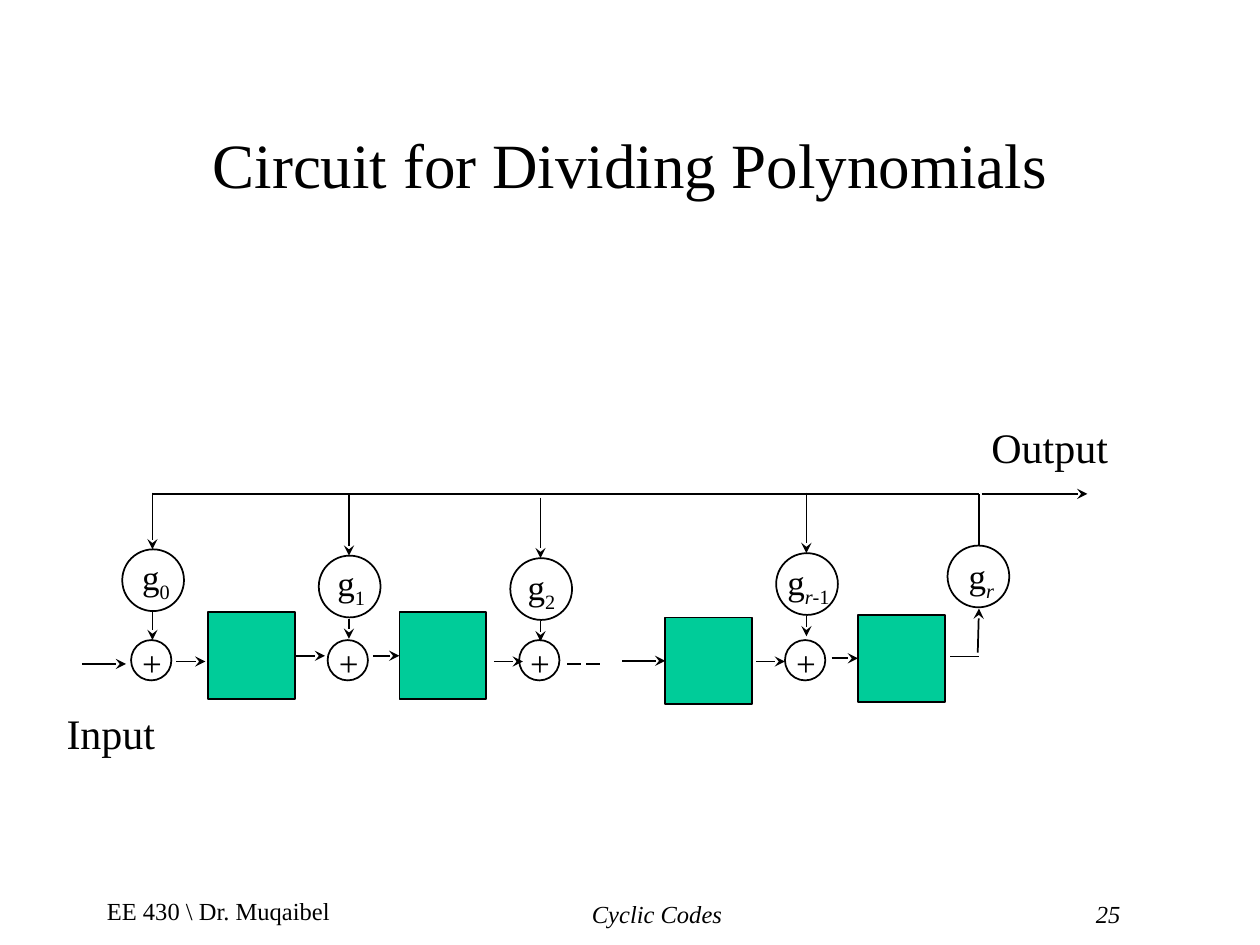
from lxml.etree import SubElement
from pptx import Presentation
from pptx.dml.color import RGBColor
from pptx.enum.dml import MSO_LINE
from pptx.enum.shapes import MSO_CONNECTOR, MSO_SHAPE
from pptx.enum.text import MSO_ANCHOR, PP_ALIGN
from pptx.oxml.ns import qn
from pptx.util import Inches, Pt

COLORS = {"ink": "000000", "register": "00CC99", "paper": "FFFFFF"}
FONT = "Times New Roman"
COLS, ROWS = 100, 75        # grid of 0.1 inch cells
LEFT, RIGHT = 1, 3          # connection sites of a rectangle


def cells(n):
    return Inches(n / 10)


def rgb(name):
    return RGBColor.from_string(COLORS[name])


def add_text(s, box, runs, size, align=PP_ALIGN.LEFT, anchor=MSO_ANCHOR.TOP,
             wrap=True, tabs=()):
    """Each run is (text, italic, subscript)."""
    tf = s.shapes.add_textbox(*map(cells, box)).text_frame
    tf.word_wrap = wrap
    tf.vertical_anchor = anchor
    p = tf.paragraphs[0]
    p.alignment = align
    if tabs:
        tab_list = SubElement(p._p.get_or_add_pPr(), qn("a:tabLst"))
        for pos in tabs:
            SubElement(tab_list, qn("a:tab"), pos=str(cells(pos)), algn="l")
    for text, italic, subscript in runs:
        r = p.add_run()
        r.text = text
        r.font.name, r.font.size, r.font.italic = FONT, Pt(size), italic
        r.font.color.rgb = rgb("ink")
        if subscript:
            r._r.get_or_add_rPr().set("baseline", "-25000")


def add_shape(s, kind, box, fill=None):
    sp = s.shapes.add_shape(kind, *map(cells, box))
    sp.shadow.inherit = False
    if fill:
        sp.fill.solid()
        sp.fill.fore_color.rgb = rgb(fill)
    else:
        sp.fill.background()
    sp.line.color.rgb = rgb("ink")
    sp.line.width = Pt(1)
    return sp


def add_wire(s, x1, y1, x2, y2, arrow=True, dash=None):
    wire = s.shapes.add_connector(MSO_CONNECTOR.STRAIGHT,
                                  *map(cells, (x1, y1, x2, y2)))
    wire.line.color.rgb = rgb("ink")
    wire.line.width = Pt(1)
    if dash:
        wire.line.dash_style = dash
    if arrow:
        SubElement(wire.line._get_or_add_ln(), qn("a:tailEnd"), type="stealth")
    SubElement(wire._element.spPr, qn("a:effectLst"))
    return wire


def add_gain(s, x, y, label_x, label_y, subscript):
    """A coefficient circle centred on x with its label."""
    add_shape(s, MSO_SHAPE.OVAL, (x - 2.4, y, 4.9, 4.9))
    add_text(s, (label_x, label_y, 5.6, 4.8), [("g", False, False)] + subscript,
             20, wrap=False)


def add_stage(s, x, y, bus_y, drop_end, label_x, label_y, subscript):
    """Tap from the bus, coefficient and adder in one column."""
    add_wire(s, x, max(y - 4.8, bus_y - 0.1), x, y)
    add_gain(s, x, y, label_x, label_y, subscript)
    add_wire(s, x, y + 5, x, drop_end)
    adder_y = bus_y + 11.6
    add_shape(s, MSO_SHAPE.OVAL, (x - 1.7, adder_y, 3.2, 3.2))
    add_text(s, (x - 1.8, adder_y - 0.4, 3.9, 4.3), [("+", False, False)], 20)


def add_circuit(s, box):
    x, y, w, h = box
    bus_y = y + 6.2
    bus_left, bus_right = x + 8.1, x + 73.7

    # Feedback bus and output
    add_wire(s, bus_left, bus_y, bus_right, bus_y, arrow=False)
    add_wire(s, bus_right + 0.2, bus_y, x + 82.3, bus_y)
    add_text(s, (bus_right, y, 11.3, 5), [("Output", False, False)], 24,
             wrap=False)

    # Registers, each with the start of a wire that ends on its left side
    registers = []
    for reg_x, reg_y, wire_x in [(12.5, 15.6, None), (27.7, 15.6, 25.6),
                                 (48.8, 16, 45.4), (64.1, 15.8, 62)]:
        register = add_shape(s, MSO_SHAPE.RECTANGLE,
                             (x + reg_x, y + reg_y, 6.9, 6.9), "register")
        registers.append(register)
        if wire_x:
            mid = y + reg_y + 3.45
            wire = add_wire(s, x + wire_x, mid, x + reg_x, mid)
            wire.end_connect(register, LEFT)

    # Wires into the adders and the first register
    wire_y = y + 19.5
    add_wire(s, x + 2.5, wire_y + 0.2, x + 6, wire_y + 0.2)
    for start in (10, 35.2, 56):
        add_wire(s, x + start, wire_y, x + start + 2.3, wire_y)
    mid = y + 19.05
    add_wire(s, x + 19.4, mid, x + 21.8, mid).begin_connect(registers[0], RIGHT)
    add_wire(s, x + 41, wire_y + 0.2, x + 43.8, wire_y + 0.2, arrow=False,
             dash=MSO_LINE.LONG_DASH)

    # Columns: centre, top of coefficient, end of drop, label, subscript
    for cx, top, drop, label_x, label_y, subscript in [
        (8.1, 10.6, 17.8, 6.3, 10.6, [("0", False, True)]),
        (23.7, 11.1, 17.7, 21.8, 11.1, [("1", False, True)]),
        (38.9, 11.3, 17.9, 36.9, 11.4, [("2", False, True)]),
        (60, 10.9, 17.5, 57.5, 11, [("r", True, True), ("-1", False, True)]),
    ]:
        add_stage(s, x + cx, y + top, bus_y, y + drop, x + label_x, y + label_y,
                  subscript)

    # Last coefficient, fed by the last register
    add_wire(s, x + 71.4, y + 19.1, bus_right, y + 19.1, arrow=False)
    add_wire(s, bus_right - 0.1, y + 18.8, bus_right, y + 15.3)
    add_gain(s, bus_right - 0.1, y + 10.3, x + 71.9, y + 10.5,
             [("r", True, True)])
    add_wire(s, bus_right, y + 10.3, bus_right, bus_y, arrow=False)

    add_text(s, (x + 0.3, y + h - 5, 9.3, 5), [("Input", False, False)], 24,
             wrap=False)


def add_title(s, box):
    add_text(s, box, [("Circuit for Dividing Polynomials", False, False)], 36,
             PP_ALIGN.CENTER, MSO_ANCHOR.MIDDLE)


def add_footer(s, box):
    x, y, w, h = box
    add_text(s, (x, y, 20.8, h), [("EE 430 \\ Dr. Muqaibel", False, False)], 14,
             anchor=MSO_ANCHOR.MIDDLE)
    add_text(s, (x + 26.7, y + 0.2, w - 26.7, h),
             [("\tCyclic Codes\t\t\t25", True, False)], 14, PP_ALIGN.CENTER,
             MSO_ANCHOR.MIDDLE, wrap=False, tabs=range(0, 80, 10))


def main():
    prs = Presentation()
    prs.slide_width, prs.slide_height = cells(COLS), cells(ROWS)
    s = prs.slides.add_slide(prs.slide_layouts[6])
    s.background.fill.solid()
    s.background.fill.fore_color.rgb = rgb("paper")
    add_title(s, (7.5, 6.7, 85, 12.5))
    add_circuit(s, (4, 33, 85, 27.7))
    add_footer(s, (7.5, 69.8, 84.2, 5))
    prs.save("out.pptx")


if __name__ == "__main__":
    main()
